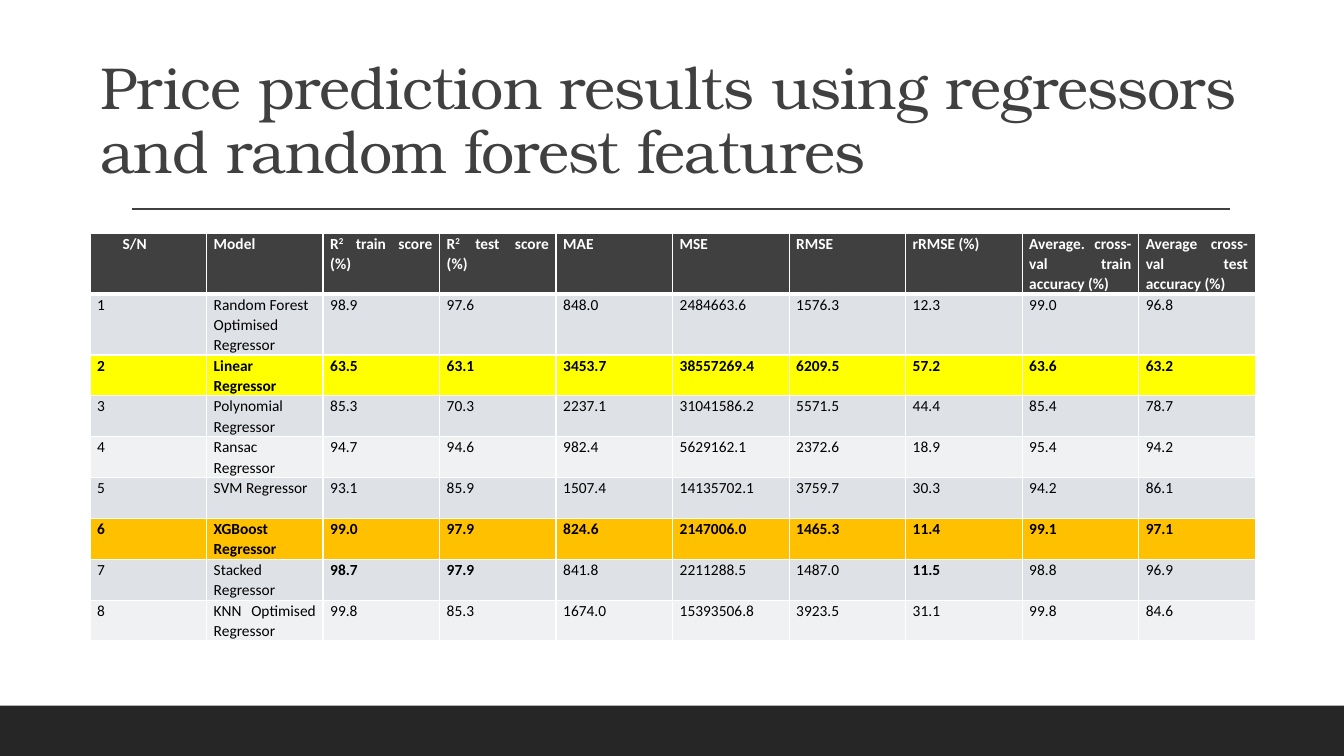
import pptx
import pptx.util
import pptx.dml.color
import pptx.enum.shapes
import pptx.enum.text
import pptx.oxml
import pptx.oxml.ns

Cm, Pt = pptx.util.Cm, pptx.util.Pt
ANCHOR, ALIGN = pptx.enum.text.MSO_ANCHOR, pptx.enum.text.PP_ALIGN


def color(code):
    return pptx.dml.color.RGBColor.from_string(code)


def border(cell, side, points):
    line = pptx.oxml.parse_xml(
        f'<a:{side} {pptx.oxml.ns.nsdecls("a")} w="{Pt(points)}"><a:solidFill>'
        f'<a:srgbClr val="FFFFFF"/></a:solidFill></a:{side}>')
    cell._tc.get_or_add_tcPr().append(line)


deck = pptx.Presentation()
deck.slide_width, deck.slide_height = Cm(33.87), Cm(19.05)
slide = deck.slides.add_slide(deck.slide_layouts[5])
shapes = slide.shapes

# Footer bar and rule under the title
bar = shapes.add_shape(pptx.enum.shapes.MSO_SHAPE.RECTANGLE,
                       Cm(0), Cm(17.78), Cm(33.87), Cm(1.27))
bar.shadow.inherit = False
bar.fill.solid()
bar.fill.fore_color.rgb = color("262626")
bar.line.fill.background()

rule = shapes.add_connector(pptx.enum.shapes.MSO_CONNECTOR.STRAIGHT,
                            Cm(3.33), Cm(5.27), Cm(31), Cm(5.27))
rule.line.color.rgb = color("404040")
rule.line.width = Pt(1)
rule._element.spPr.append(pptx.oxml.parse_xml(
    f'<a:effectLst {pptx.oxml.ns.nsdecls("a")}/>'))

# Title
title = shapes.title
title.left, title.top, title.width, title.height = Cm(2.27), Cm(1.42), Cm(29.36), Cm(3.4)
frame = title.text_frame
frame.word_wrap = True
frame.auto_size = pptx.enum.text.MSO_AUTO_SIZE.NONE
frame.vertical_anchor = ANCHOR.BOTTOM
para = frame.paragraphs[0]
para.alignment = ALIGN.LEFT
para.line_spacing = 0.9
run = para.add_run()
run.text = "Price prediction results using regressors and random forest features"
run.font.name = "TeX Gyre Bonum"
run.font.size = Pt(42.3)
run.font.color.rgb = color("404040")
run._r.get_or_add_rPr().set("spc", "-50")

# Results table: text between bars is raised, a line break starts a paragraph
rows = [
    ["S/N", "Model", "R|2| train score (%)", "R|2| test score (%)", "MAE", "MSE", "RMSE",
     "rRMSE (%)", "Average. cross-val train accuracy (%)",
     "Average cross-val test accuracy (%)"],
    ["1", "Random Forest\nOptimised Regressor", "98.9", "97.6", "848.0", "2484663.6",
     "1576.3", "12.3", "99.0", "96.8"],
    ["2", "Linear Regressor", "63.5", "63.1", "3453.7", "38557269.4",
     "6209.5", "57.2", "63.6", "63.2"],
    ["3", "Polynomial Regressor", "85.3", "70.3", "2237.1", "31041586.2",
     "5571.5", "44.4", "85.4", "78.7"],
    ["4", "Ransac Regressor", "94.7", "94.6", "982.4", "5629162.1",
     "2372.6", "18.9", "95.4", "94.2"],
    ["5", "SVM Regressor", "93.1", "85.9", "1507.4", "14135702.1",
     "3759.7", "30.3", "94.2", "86.1"],
    ["6", "XGBoost Regressor", "99.0", "97.9", "824.6", "2147006.0",
     "1465.3", "11.4", "99.1", "97.1"],
    ["7", "Stacked Regressor", "98.7", "97.9", "841.8", "2211288.5",
     "1487.0", "11.5", "98.8", "96.9"],
    ["8", "KNN Optimised Regressor", "99.8", "85.3", "1674.0", "15393506.8",
     "3923.5", "31.1", "99.8", "84.6"],
]
fills = {0: "404040", 2: "FFFF00", 6: "FFC000"}
bands = ["EFF1F3", "DEE1E6"]
bold_cells = {(7, 2), (7, 3), (7, 7)}

table = shapes.add_table(len(rows), len(rows[0]),
                         Cm(2.27), Cm(5.87), Cm(29.36), Cm(9.27)).table
for col in table.columns:
    col.width = Cm(2.936)
for r, row in enumerate(rows):
    table.rows[r].height = Cm(1.03)
    for c, text in enumerate(row):
        cell = table.cell(r, c)
        cell.margin_left = cell.margin_right = Cm(0.18)
        cell.margin_top = cell.margin_bottom = Cm(0)
        cell.vertical_anchor = ANCHOR.TOP
        border(cell, "lnL", 1)
        border(cell, "lnR", 1)
        border(cell, "lnT", 3 if r == 1 else 1)
        border(cell, "lnB", 3 if r == 0 else 1)
        cell.fill.solid()
        cell.fill.fore_color.rgb = color(fills.get(r, bands[r % 2]))
        frame = cell.text_frame
        for i, line in enumerate(text.split("\n")):
            para = frame.add_paragraph() if i else frame.paragraphs[0]
            para.alignment = ALIGN.JUSTIFY
            para.line_spacing = 1.07
            for n, part in enumerate(line.split("|")):
                run = para.add_run()
                run.text = part
                run.font.name = "Calibri"
                run.font.size = Pt(11)
                run.font.bold = r in fills or (r, c) in bold_cells
                run.font.color.rgb = color("000000" if r else "FFFFFF")
                if n % 2:
                    run._r.get_or_add_rPr().set("baseline", "30000")
first = table.cell(0, 0).text_frame.paragraphs[0]
first._p.get_or_add_pPr().set("marL", str(Cm(0.64)))

deck.save("out.pptx")
